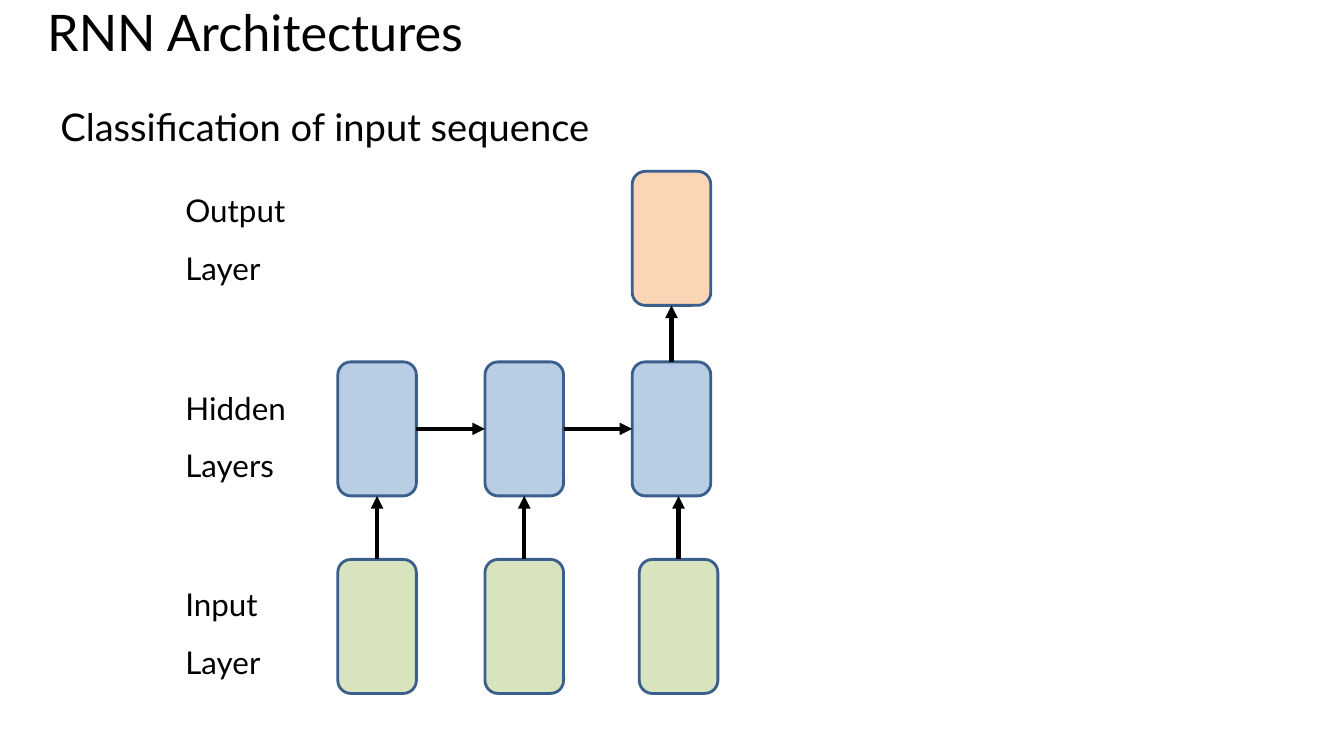
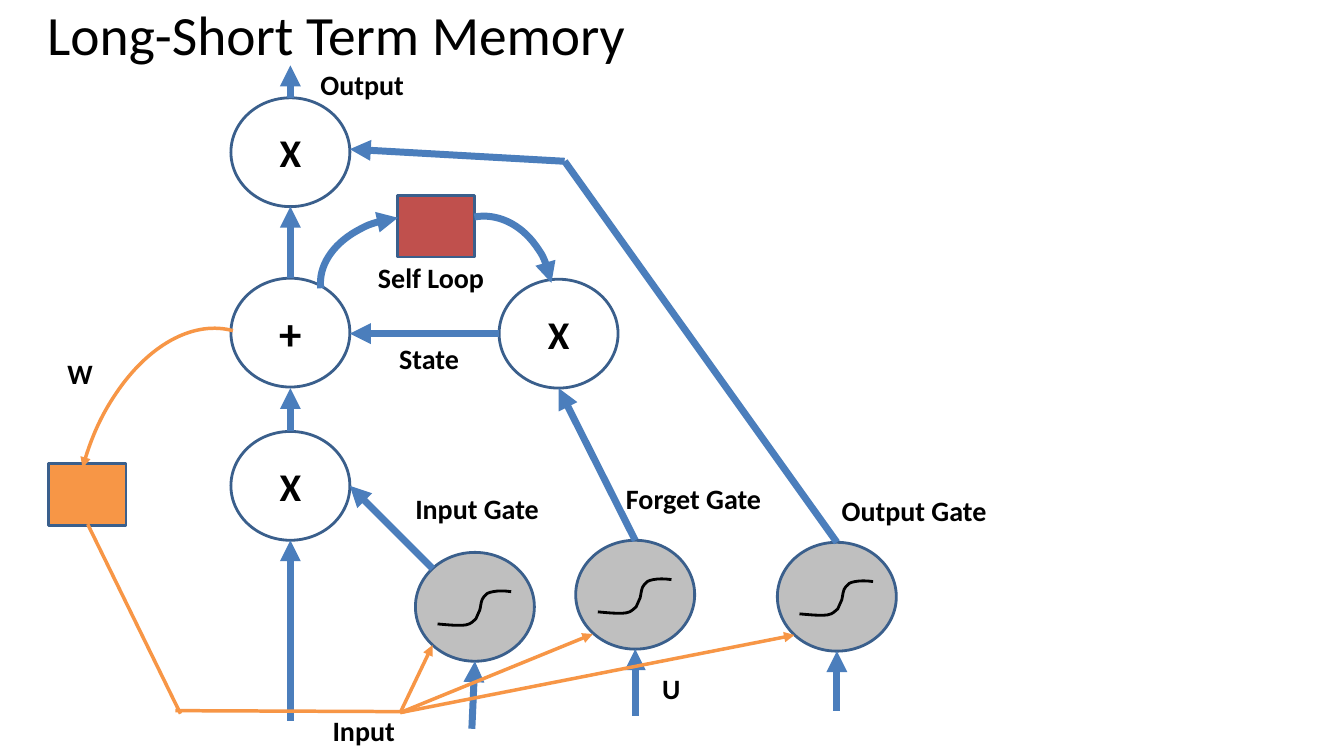
from dataclasses import dataclass
from itertools import pairwise

from pptx import Presentation
from pptx.dml.color import RGBColor
from pptx.enum.shapes import MSO_CONNECTOR as Connector, MSO_SHAPE as Preset
from pptx.enum.text import MSO_ANCHOR as Anchor, PP_ALIGN as Align
from pptx.oxml.ns import qn
from pptx.util import Inches, Pt
from lxml.etree import SubElement

COLORS = {
    "ink": "000000", "outline": "3A5F8C", "flow": "4B7EBC",
    "hidden": "B9CDE5", "input": "D7E4BD", "output": "FCD5B5",
    "gate": "BFBFBF", "loop": "C0504D", "feedback": "F79646",
}
NODE_W, NODE_H = 1.18, 1.08
SQUARE_W, SQUARE_H = 0.77, 0.61

# Bezier control points of the sigmoid, measured from a gate's corner
SIGMOID = [
    (0.22, 0.71), (0.33, 0.72), (0.43, 0.73), (0.50, 0.72),
    (0.56, 0.71), (0.57, 0.68), (0.60, 0.66), (0.62, 0.63),
    (0.62, 0.60), (0.64, 0.57), (0.65, 0.53), (0.65, 0.47),
    (0.68, 0.44), (0.70, 0.41), (0.72, 0.40), (0.77, 0.39),
    (0.82, 0.38), (0.88, 0.38), (0.95, 0.39),
]


def rgb(name):
    return RGBColor.from_string(COLORS[name])


def bend(shape):
    """Turn each three straight segments of a freeform into one cubic curve."""
    segments = list(shape._element.iter(qn("a:lnTo")))
    for first in range(0, len(segments), 3):
        curve, *others = segments[first:first + 3]
        curve.tag = qn("a:cubicBezTo")
        for other in others:
            curve.append(other[0])
            other.getparent().remove(other)


def style_line(line, color, width, head=False):
    line.color.rgb = rgb(color)
    line.width = Pt(width)
    if head:
        SubElement(line._get_or_add_ln(), qn("a:tailEnd"), type="triangle")


def style_para(para, text, size, font, bold=False, align=Align.LEFT):
    para.text = text
    para.alignment = align
    para.font.size = Pt(size)
    para.font.name = font
    para.font.bold = bold
    para.font.color.rgb = rgb("ink")


@dataclass
class Region:
    """Part of a page; all positions are measured from its corner."""
    page: object
    left: float = 0
    top: float = 0

    def at(self, x, y):
        return Inches(self.left + x), Inches(self.top + y)

    def shape(self, preset, x, y, width, height, fill=None):
        shape = self.page.shapes.add_shape(preset, *self.at(x, y), Inches(width), Inches(height))
        shape.shadow.inherit = False
        if fill:
            shape.fill.solid()
            shape.fill.fore_color.rgb = rgb(fill)
        else:
            shape.fill.background()
        style_line(shape.line, "outline", 2)
        return shape

    def node(self, x, y, symbol=None, size=28, fill=None):
        node = self.shape(Preset.OVAL, x, y, NODE_W, NODE_H, fill)
        if symbol:
            node.text_frame.vertical_anchor = Anchor.MIDDLE
            style_para(node.text_frame.paragraphs[0], symbol, size, "Calibri", True, Align.CENTER)

    def arc(self, x, y, width, height, rotation, color, line_width, flip=False):
        arc = self.shape(Preset.ARC, x, y, width, height)
        arc.rotation = rotation
        style_line(arc.line, color, line_width, head=True)
        if flip:
            arc._element.spPr.find(qn("a:xfrm")).set("flipH", "1")

    def line(self, start, end, color="flow", width=5, head=True):
        line = self.page.shapes.add_connector(Connector.STRAIGHT, *self.at(*start), *self.at(*end))
        style_line(line.line, color, width, head)
        SubElement(line._element.spPr, qn("a:effectLst"))

    def curve(self, points):
        start, *rest = [self.at(*point) for point in points]
        builder = self.page.shapes.build_freeform(*start)
        builder.add_line_segments(rest, close=False)
        curve = builder.convert_to_shape()
        bend(curve)
        curve.shadow.inherit = False
        curve.fill.background()
        style_line(curve.line, "ink", 2)

    def text(self, x, y, width, height, lines, size, font, bold=False,
             align=Align.LEFT, gap=0, spacing=None):
        box = self.page.shapes.add_textbox(*self.at(x, y), Inches(width), Inches(height))
        frame = box.text_frame
        frame.word_wrap = True
        for index, text in enumerate(lines):
            para = frame.add_paragraph() if index else frame.paragraphs[0]
            style_para(para, text, size, font, bold, align)
            if index:
                para.space_before = Pt(gap)
            if spacing:
                para.line_spacing = spacing

    def label(self, x, y, width, text, align=Align.LEFT):
        self.text(x, y, width, 0.44, [text], 20, "Calibri", True, align)


def add_page(deck, title, size, font, height):
    page = deck.slides.add_slide(deck.slide_layouts[6])
    Region(page).text(0.37, 0.08, 12.6, height, [title], size, font, spacing=0.8)
    return page


def draw_network(page, left, top):
    """Three layers: one output over hidden and input rows."""
    region = Region(page, left, top)
    cell_w, cell_h = 0.78, 1.33
    columns = [1.61 + 1.46 * index for index in range(3)]
    rows = {  # row name: top, words, top of words, cell positions
        "output": (0, ("Output", "Layer"), 0.15, columns[2:]),
        "hidden": (1.89, ("Hidden", "Layers"), 2.11, columns),
        "input": (3.85, ("Input", "Layer"), 4.06, columns[:2] + [4.6]),
    }
    for name, (y, words, words_y, cells) in rows.items():
        region.text(0, words_y, 1.42, 0.89, words, 22.4, "Lato", gap=14)
        for x in cells:
            region.shape(Preset.ROUNDED_RECTANGLE, x, y, cell_w, cell_h, name)

    # Arrows up between rows, then along the hidden row
    for lower, upper, sources in (("input", "hidden", rows["input"][-1]),
                                  ("hidden", "output", columns[2:])):
        for x in sources:
            middle = x + cell_w / 2
            region.line((middle, rows[lower][0]), (middle, rows[upper][0] + cell_h), "ink", 3)
    middle = rows["hidden"][0] + cell_h / 2
    for x, following in pairwise(columns):
        region.line((x + cell_w, middle), (following, middle), "ink", 3)


def draw_memory(page, left, top):
    """Column of operators with the self loop beside it."""
    region = Region(page, left, top)
    for x, y, symbol, size in ((0, 0, "X", 28), (0, 1.79, "+", 32),
                               (0, 3.31, "X", 28), (2.66, 1.8, "X", 28)):
        region.node(x, y, symbol, size)
    middle = NODE_W / 2
    for start_y, end_y in ((0, -0.32), (1.79, 1.08), (3.31, 2.88), (6.18, 4.39)):
        region.line((middle, start_y), (middle, end_y))
    region.line((2.66, 2.34), (NODE_W, 2.34))
    # Self loop
    region.shape(Preset.RECTANGLE, 1.65, 0.97, SQUARE_W, SQUARE_H, "loop")
    region.arc(1.13, 0.94, 1.2, 1.69, 262.9, "flow", 5)
    region.arc(1.92, 1.17, 1.27, 1.56, 349.7, "flow", 5)
    # Labels
    region.label(0.79, -0.35, 3.05, "Output")
    region.label(1.01, 1.57, 1.95, "Self Loop", Align.CENTER)
    region.label(0.99, 2.37, 1.95, "State", Align.CENTER)
    region.label(0.91, 6.06, 0.93, "Input")


def draw_gate(page, left, top, name, name_at, name_width, feed_from, route):
    """Sigmoid gate with its input arrow and the route of its output."""
    region = Region(page, left, top)
    region.node(0, 0, fill="gate")
    region.curve(SIGMOID)
    region.line(feed_from, (NODE_W / 2, NODE_H))
    for start, end in pairwise(route):
        region.line(start, end, head=end == route[-1])
    region.label(*name_at, name_width, name)


def draw_feedback(page, left, top):
    """Recurrent connection from the state back to every gate."""
    region = Region(page, left, top)
    color, width = "feedback", 2.5
    region.shape(Preset.RECTANGLE, 0, 1.38, SQUARE_W, SQUARE_H, color)
    region.arc(0.3, 0, 2.16, 3.41, 15.3, color, width, flip=True)
    region.line((0.39, 1.98), (1.31, 3.86), color, width, head=False)
    region.line((1.26, 3.83), (3.54, 3.84), color, width, head=False)
    for target in ((7.4, 3.08), (5.4, 3.07), (3.81, 3.18)):
        region.line((3.49, 3.85), target, color, width)
    region.label(0.09, 0.27, 0.66, "W")
    region.label(5.99, 3.39, 0.66, "U")


def main():
    deck = Presentation()
    deck.slide_width, deck.slide_height = Inches(13.33), Inches(7.5)

    # Sequence classification
    page = add_page(deck, "RNN Architectures", 36, "Lato", 0.89)
    Region(page).text(0.5, 0.98, 10.18, 0.48, ["Classification of input sequence"], 27.2, "Lato")
    draw_network(page, 1.74, 1.7)

    # Memory cell
    page = add_page(deck, "Long-Short Term Memory", 39.6, "Calibri", 0.7)
    draw_memory(page, 2.29, 0.97)
    draw_gate(page, 4.12, 5.48, "Input Gate", (-0.1, -0.65), 1.69, (0.56, 1.75),
              [(0.17, 0.16), (-0.65, -0.66)])
    draw_gate(page, 5.71, 5.36, "Forget Gate", (0.4, -0.63), 1.69, (0.59, 1.74),
              [(0.59, 0), (-0.17, -1.51)])
    draw_gate(page, 7.71, 5.38, "Output Gate", (0.54, -0.53), 1.87, (0.59, 1.67),
              [(0.59, 0), (-2.11, -3.78), (-4.24, -3.9)])
    draw_feedback(page, 0.48, 3.22)

    deck.save("out.pptx")


if __name__ == "__main__":
    main()
